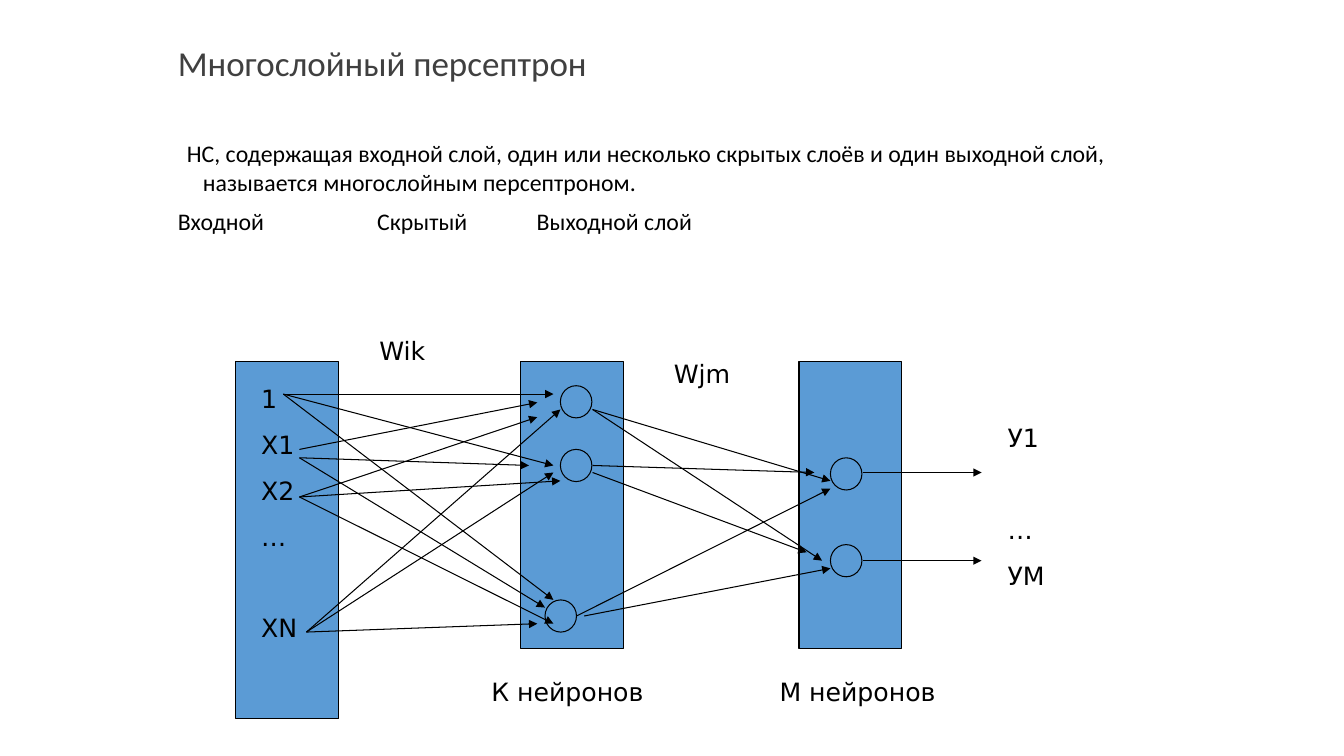
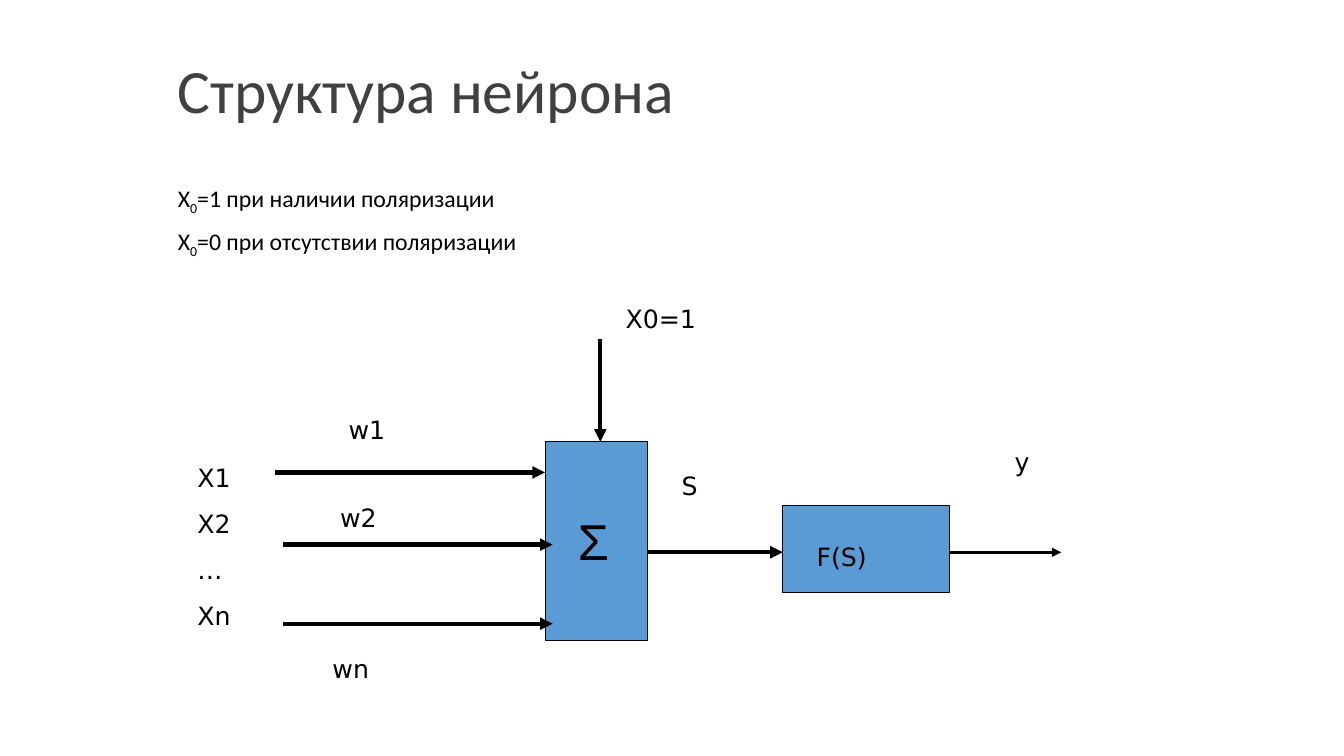
"""Build two slides on the multilayer perceptron and the structure of a neuron."""
from dataclasses import dataclass

from lxml import etree
from pptx import Presentation
from pptx.dml.color import RGBColor
from pptx.enum import shapes, text
from pptx.oxml.ns import qn
from pptx.util import Pt


@dataclass(frozen=True)
class Theme:
    fill: RGBColor = RGBColor(0x5B, 0x9B, 0xD5)
    ink: RGBColor = RGBColor(0, 0, 0)
    title: RGBColor = RGBColor(0x40, 0x40, 0x40)
    font: str = "Calibri"
    label_font: str = "DejaVu Sans"
    sigma_font: str = "Arial"
    body: int = 17
    label: int = 18
    sigma: int = 36
    thin: float = 0.75
    medium: float = 2.25
    thick: float = 3


T = Theme()


def write(s, x, y, w, h, content, font=T.label_font, size=T.label, color=T.ink, before=11.25, line=1.0):
    tf = s.shapes.add_textbox(Pt(x), Pt(y), Pt(w), Pt(h)).text_frame
    tf.word_wrap = True
    tf.text = content
    for i, p in enumerate(tf.paragraphs):
        p.line_spacing = line
        p.space_before = Pt(before if i else 0)
        for r in p.runs:
            r.font.name, r.font.size, r.font.color.rgb = font, Pt(size), color
    return tf


def arrow(s, start, end, width=T.thin):
    c = s.shapes.add_connector(shapes.MSO_CONNECTOR.STRAIGHT, *(Pt(v) for v in start + end))
    c.line.width = Pt(width)
    c.line.color.rgb = T.ink
    etree.SubElement(c.line._get_or_add_ln(), qn("a:tailEnd"), type="triangle")
    etree.SubElement(c._element.spPr, qn("a:effectLst"))


prs = Presentation()
prs.slide_width, prs.slide_height = Pt(960.48), Pt(540)
perceptron, neuron = (prs.slides.add_slide(prs.slide_layouts[6]) for _ in range(2))

for s, title, h, size in [
    (perceptron, "Многослойный персептрон", 50.5, 25),
    (neuron, "Структура нейрона", 90, 44),
]:
    tf = write(s, 120, 21.5, 648, h, title, T.font, size, T.title, line=0.9)
    tf.vertical_anchor = text.MSO_ANCHOR.MIDDLE

RECT, OVAL = shapes.MSO_SHAPE.RECTANGLE, shapes.MSO_SHAPE.OVAL
layers = [(168.5, 255), (372, 204.5), (571, 204.5)]
neurons = [(400.5, 275.5), (400.5, 321), (389.5, 428.5), (593.5, 327), (593.5, 389)]
blocks = [(perceptron, RECT, x, 258.5, 73.5, h) for x, h in layers]
blocks += [(perceptron, OVAL, x, y, 22.5, 23) for x, y in neurons]
blocks += [(neuron, RECT, 389.5, 315.5, 73.5, 142), (neuron, RECT, 559.5, 361, 119, 62.5)]
for s, kind, x, y, w, h in blocks:
    sp = s.shapes.add_shape(kind, Pt(x), Pt(y), Pt(w), Pt(h))
    sp.shadow.inherit = False
    sp.fill.solid()
    sp.fill.fore_color.rgb = T.fill
    sp.line.color.rgb = T.ink
    sp.line.width = Pt(T.thin)

links = [
    ((202.5, 281.5), [(395.5, 281.5), (395.5, 332.5), (395.5, 428.5)]),
    ((214, 321), [(384, 287.5)]),
    ((214, 327), [(378, 332.5), (389.5, 434)]),
    ((214, 355), [(384, 298), (400.5, 343.5), (395.5, 445.5)]),
    ((219, 451.5), [(384, 445.5), (395.5, 337.5), (400.5, 292.5)]),
    ((423.5, 292.5), [(593.5, 343.5), (587.5, 400.5)]),
    ((423.5, 332.5), [(582, 337.5)]),
    ((423.5, 337.5), [(576.5, 394.5)]),
    ((412, 440), [(593.5, 349)]),
    ((417.5, 440), [(593.5, 406)]),
    ((616.5, 337.5), [(701.5, 337.5)]),
    ((616.5, 400.5), [(701.5, 400.5)]),
]
for start, ends in links:
    for end in ends:
        arrow(perceptron, start, end)

for start, end, width in [
    ((196.5, 337.5), (389.5, 337.5), T.thick),
    ((202.5, 389), (395, 389), T.thick),
    ((202.5, 445.5), (395, 445.5), T.thick),
    ((429, 242), (429, 315.5), T.thick),
    ((463, 394.5), (559.5, 394.5), T.thick),
    ((678.5, 394.5), (758.5, 394.5), T.medium),
]:
    arrow(neuron, start, end, width)

tf = write(
    perceptron, 120, 95.5, 684, 90,
    "НС, содержащая входной слой, один или несколько скрытых слоёв и один выходной слой, "
    "называется многослойным персептроном.\nВходной\tСкрытый\tВыходной слой",
    T.font, T.body, before=10,
)
intro, headings = tf.paragraphs
pPr = intro._p.get_or_add_pPr()
pPr.set("marL", str(Pt(18)))
pPr.set("indent", str(Pt(-11.5)))
headings.line_spacing = 0.9
tabs = etree.SubElement(headings._p.get_or_add_pPr(), qn("a:tabLst"))
for stop in (142.5, 256.5):
    etree.SubElement(tabs, qn("a:tab"), pos=str(Pt(stop)), algn="l")

tf = write(neuron, 120, 128, 686, 70, "\n", T.font, T.body, before=10, line=0.9)
for p, rest in zip(tf.paragraphs, ("=1 при наличии поляризации", "=0 при отсутствии поляризации")):
    for part in ("Х", "0", rest):
        r = p.add_run()
        r.text = part
        r.font.name, r.font.size, r.font.color.rgb = T.font, Pt(T.body), T.ink
    p.runs[1]._r.get_or_add_rPr().set("baseline", "-25000")

for s, x, y, w, label in [
    (perceptron, 264, 236, 57, "Wik"),
    (perceptron, 474.5, 252.5, 63, "Wjm"),
    (perceptron, 344, 479.5, 140, "К нейронов"),
    (perceptron, 550, 479.5, 140, "М нейронов"),
    (neuron, 440, 213, 73.5, "Х0=1"),
    (neuron, 576.5, 383, 85, "F(S)"),
    (neuron, 242, 292.5, 68, "w1"),
    (neuron, 236, 355, 90, "w2"),
    (neuron, 230.5, 463, 102, "wn"),
    (neuron, 480, 332.5, 45, "S"),
    (neuron, 718, 315.5, 57, "y"),
]:
    write(s, x, y, w, 29, label)

write(neuron, 134, 327, 57, 127.5, "Х1\nХ2\n…\nХn")
write(neuron, 406, 361, 45, 50.5, "Σ", T.sigma_font, T.sigma)
inputs = write(perceptron, 179.5, 270, 50, 226, "1\nХ1\nХ2\n…\nХN")
outputs = write(perceptron, 713, 298, 62.5, 127.5, "У1\n…\nУМ")
for p in (inputs.paragraphs[4], outputs.paragraphs[1]):
    p.space_before = Pt(44)

prs.save("out.pptx")
